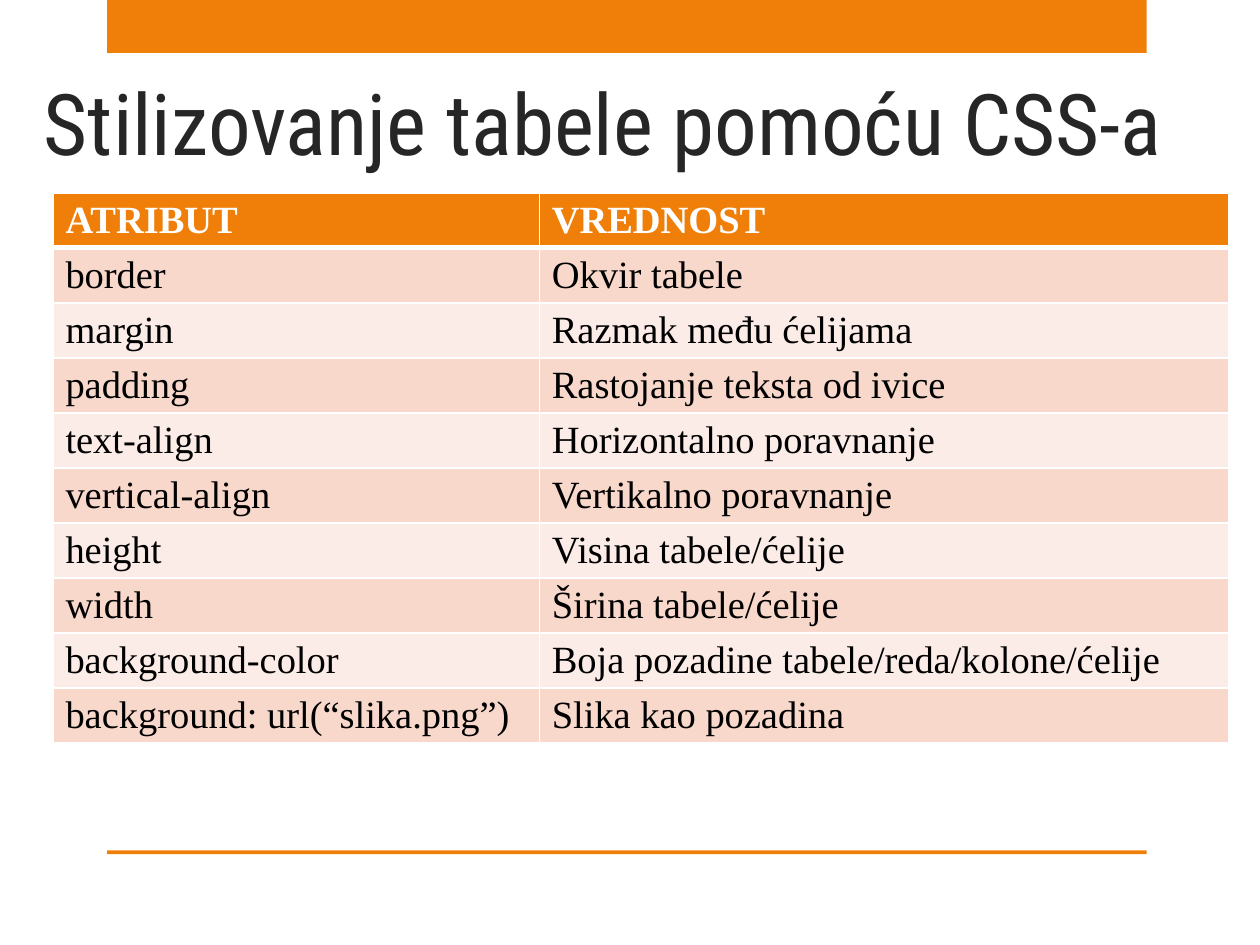
from lxml import etree
from pptx import Presentation
from pptx.dml.color import RGBColor
from pptx.enum.shapes import MSO_SHAPE
from pptx.enum.text import MSO_ANCHOR
from pptx.oxml.ns import qn
from pptx.util import Inches, Pt

RECT = MSO_SHAPE.RECTANGLE
BOTTOM = MSO_ANCHOR.BOTTOM

COLORS = {
    "accent": "F07F09",
    "title": "262626",
    "text": "000000",
    "white": "FFFFFF",
    "band_dark": "F9D8CC",
    "band_light": "FCECE7",
}
TITLE = "Stilizovanje tabele pomoću CSS-a"
ROWS = [
    ("ATRIBUT", "VREDNOST"),
    ("border", "Okvir tabele"),
    ("margin", "Razmak među ćelijama"),
    ("padding", "Rastojanje teksta od ivice"),
    ("text-align", "Horizontalno poravnanje"),
    ("vertical-align", "Vertikalno poravnanje"),
    ("height", "Visina tabele/ćelije"),
    ("width", "Širina tabele/ćelije"),
    ("background-color", "Boja pozadine tabele/reda/kolone/ćelije"),
    ("background: url(“slika.png”)", "Slika kao pozadina"),
]
BARS = [(0, 0.42), (6.75, 0.03)]  # top, height
COL_WIDTHS = [3.86, 5.47]
ROW_HEIGHT = 0.41


def rgb(name):
    return RGBColor.from_string(COLORS[name])


def add_run(p, text, font, size, color, bold=False):
    r = p.add_run()
    r.text = text
    r.font.name = font
    r.font.size = Pt(size)
    r.font.bold = bold
    r.font.color.rgb = rgb(color)


def set_borders(cell, widths):
    """Draw white cell borders; widths maps each side to points."""
    tc_pr = cell._tc.get_or_add_tcPr()
    for i, (side, width) in enumerate(widths.items()):
        ln = etree.Element(qn(f"a:ln{side}"), w=str(Pt(width)))
        fill = etree.SubElement(ln, qn("a:solidFill"))
        etree.SubElement(fill, qn("a:srgbClr"), val=COLORS["white"])
        tc_pr.insert(i, ln)


prs = Presentation()
prs.slide_width, prs.slide_height = Inches(10), Inches(7.5)
s = prs.slides.add_slide(prs.slide_layouts[6])

# Accent bars
for top, height in BARS:
    sp = s.shapes.add_shape(RECT, Inches(0.85), Inches(top),
                            Inches(8.25), Inches(height))
    sp.shadow.inherit = False
    sp.fill.solid()
    sp.fill.fore_color.rgb = rgb("accent")
    sp.line.fill.background()

# Title
tf = s.shapes.add_textbox(Inches(0.25), Inches(0.42),
                          Inches(9.5), Inches(1)).text_frame
tf.word_wrap = True
tf.vertical_anchor = BOTTOM
add_run(tf.paragraphs[0], TITLE, "Roboto Condensed", 48.6, "title")

# Table of attributes
table = s.shapes.add_table(
    len(ROWS), len(COL_WIDTHS), Inches(0.42), Inches(1.53),
    Inches(sum(COL_WIDTHS)), Inches(ROW_HEIGHT * len(ROWS))).table
for column, width in zip(table.columns, COL_WIDTHS):
    column.width = Inches(width)
for i, row in enumerate(ROWS):
    table.rows[i].height = Inches(ROW_HEIGHT)
    header = i == 0
    band = "accent" if header else "band_dark" if i % 2 else "band_light"
    for j, text in enumerate(row):
        cell = table.cell(i, j)
        cell.margin_bottom = Inches(0.02)
        cell.fill.solid()
        cell.fill.fore_color.rgb = rgb(band)
        set_borders(cell, {"L": 1, "R": 1, "T": 3 if i == 1 else 1,
                           "B": 3 if header else 1})
        add_run(cell.text_frame.paragraphs[0], text, "Times New Roman", 22,
                "white" if header else "text", header)

prs.save("out.pptx")
